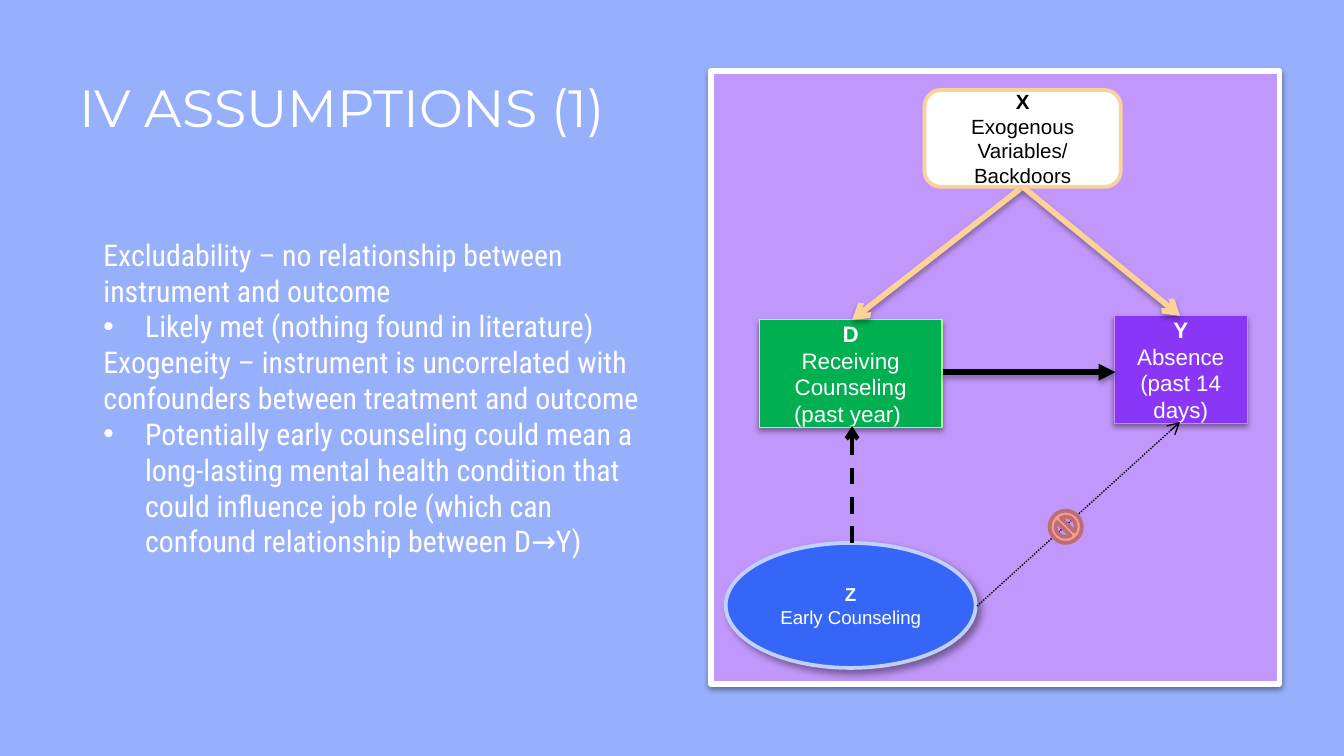
import pptx
import pptx.util
import pptx.dml.color
import pptx.enum.dml
import pptx.enum.shapes
import pptx.enum.text
import pptx.oxml
import pptx.oxml.ns

Inches = pptx.util.Inches
Pt = pptx.util.Pt
SHAPE = pptx.enum.shapes.MSO_SHAPE
DASH = pptx.enum.dml.MSO_LINE
ALIGN = pptx.enum.text.PP_ALIGN
ANCHOR = pptx.enum.text.MSO_ANCHOR
SOFT = (38, 3.1, 1.6, 90)
LOW = (35, 3.1, 1.8, 90)
DEEP = (40, 4, 3, 45)


def rgb(code):
    return pptx.dml.color.RGBColor.from_string(code)


def add_xml(parent, body):
    node = pptx.oxml.parse_xml(body.replace(" ", f" {pptx.oxml.ns.nsdecls('a')} ", 1))
    parent.append(node)


def add_shadow(props, shadow):
    """Append an effect list, which stays empty when shadow is None."""
    inner = ""
    if shadow:
        alpha, blur, dist, angle = shadow
        inner = (f'<a:outerShdw blurRad="{Pt(blur)}" dist="{Pt(dist)}" dir="{angle * 60000}" '
                 f'algn="ctr" rotWithShape="0"><a:srgbClr val="000000">'
                 f'<a:alpha val="{alpha * 1000}"/></a:srgbClr></a:outerShdw>')
    add_xml(props, f"<a:effectLst >{inner}</a:effectLst>")


def style(para, font, size, color, bold=False):
    for run in para.runs:
        run.font.name = font
        run.font.size = Pt(size)
        run.font.bold = bold
        run.font.color.rgb = rgb(color)


def place(shape, box):
    shape.left, shape.top, shape.width, shape.height = map(Inches, box)


def set_frame(frame, anchor):
    frame.word_wrap = True
    frame.auto_size = pptx.enum.text.MSO_AUTO_SIZE.NONE
    frame.vertical_anchor = anchor
    frame.margin_left = frame.margin_right = Inches(0.1)
    frame.margin_top = frame.margin_bottom = Inches(0.1)


def add_title(slide, box, text):
    title = slide.shapes.title
    place(title, box)
    set_frame(title.text_frame, ANCHOR.MIDDLE)
    title.text_frame.text = text
    para = title.text_frame.paragraphs[0]
    para.alignment = ALIGN.LEFT
    style(para, "Montserrat", 28, "FFFFFF")


def add_list(slide, box, items):
    """Fill the body with (heading, bullet) pairs."""
    body = slide.placeholders[1]
    place(body, box)
    frame = body.text_frame
    set_frame(frame, ANCHOR.TOP)
    frame.text = "\n".join(text for pair in items for text in pair)
    for i, para in enumerate(frame.paragraphs):
        para.alignment = ALIGN.LEFT
        para.space_before = para.space_after = Pt(0)
        para.line_spacing = 1.0
        style(para, "Roboto Condensed", 16, "FFFFFF")
        props = para._p.get_or_add_pPr()
        indent = Inches(0.31) if i % 2 else 0
        props.set("marL", str(indent))
        props.set("indent", str(-indent))
        if indent:
            add_xml(props, '<a:buClr ><a:srgbClr val="FFFFFF"/></a:buClr>')
            add_xml(props, '<a:buFont typeface="Arial"/>')
            add_xml(props, '<a:buChar char="•"/>')
        else:
            add_xml(props, "<a:buNone />")


def add_node(group, kind, box, fill, line, width, shadow=None,
             lines=(), size=12, color="FFFFFF"):
    """Add a shape whose first line of text is bold."""
    node = group.shapes.add_shape(kind, *map(Inches, box))
    node.fill.solid()
    node.fill.fore_color.rgb = rgb(fill)
    node.line.color.rgb = rgb(line)
    node.line.width = Pt(width)
    if shadow:
        add_shadow(node._element.spPr, shadow)
    else:
        node.shadow.inherit = False
    if lines:
        frame = node.text_frame
        frame.word_wrap = True
        frame.vertical_anchor = ANCHOR.MIDDLE
        frame.text = "\n".join(lines)
        for i, para in enumerate(frame.paragraphs):
            para.alignment = ALIGN.CENTER
            style(para, "Arial", size, color, bold=i == 0)


def add_arrow(group, start, end, color, width, head="arrow", dash=None, shadow=None):
    arrow = group.shapes.add_connector(
        pptx.enum.shapes.MSO_CONNECTOR.STRAIGHT, *map(Inches, (*start, *end)))
    arrow.line.color.rgb = rgb(color)
    arrow.line.width = Pt(width)
    if dash:
        arrow.line.dash_style = dash
    add_xml(arrow.line._get_or_add_ln(), f'<a:tailEnd type="{head}"/>')
    add_shadow(arrow._element.spPr, shadow)


def add_graph(slide, box):
    """Draw the causal graph on its panel."""
    left, top = box[:2]
    group = slide.shapes.add_group_shape()

    def spot(x, y, *size):
        return (left + x, top + y, *size)

    add_node(group, SHAPE.RECTANGLE, box, "C297FB", "FFFFFF", 3, SOFT)
    add_node(group, SHAPE.RECTANGLE, spot(3, 1.82, 0.99, 0.8), "8936F7", "BD91F8", 0.75,
             SOFT, ["Y", "Absence (past 14 days)"])
    add_node(group, SHAPE.RECTANGLE, spot(0.36, 1.85, 1.36, 0.8), "00B050", "B0F891", 0.75,
             SOFT, ["D", "Receiving Counseling (past year) "])
    add_node(group, SHAPE.OVAL, spot(0.11, 3.51, 1.86, 0.93), "3666F7", "C1D0FD", 2,
             DEEP, ["Z", "Early Counseling"], 10)
    add_arrow(group, spot(1.05, 3.51), spot(1.05, 2.64), "000000", 2.25, dash=DASH.DASH)
    add_arrow(group, spot(1.73, 2.24), spot(3.01, 2.24), "000000", 3, "triangle", shadow=LOW)
    add_arrow(group, spot(1.98, 3.98), spot(3.49, 2.61), "000000", 0.75,
              dash=DASH.ROUND_DOT)
    add_node(group, SHAPE.NO_SYMBOL, spot(2.52, 3.27, 0.24, 0.24), "FB9797", "BA7070", 2)
    add_node(group, SHAPE.ROUNDED_RECTANGLE, spot(1.59, 0.14, 1.46, 0.72), "FFFFFF",
             "FBD397", 2, None, ["X", "Exogenous Variables/", "Backdoors"], 11, "000000")
    for end in (spot(1.05, 1.85), spot(3.49, 1.82)):
        add_arrow(group, spot(2.32, 0.86), end, "FBD397", 3, shadow=LOW)


def main():
    deck = pptx.Presentation()
    deck.slide_width = Inches(10)
    deck.slide_height = deck.slide_width * 9 // 16
    slide = deck.slides.add_slide(deck.slide_layouts[1])
    slide.background.fill.solid()
    slide.background.fill.fore_color.rgb = rgb("97B0FB")
    add_title(slide, (0.49, 0.62, 8.73, 0.35), "IV ASSUMPTIONS (1)")
    add_list(slide, (0.67, 1.66, 4.23, 2.94), [
        ("Excludability – no relationship between instrument and outcome",
         "Likely met (nothing found in literature)"),
        ("Exogeneity – instrument is uncorrelated with confounders between "
         "treatment and outcome",
         "Potentially early counseling could mean a long-lasting mental health condition "
         "that could influence job role (which can confound relationship between D→Y)"),
    ])
    add_graph(slide, (5.29, 0.53, 4.23, 4.56))
    deck.save("out.pptx")


if __name__ == "__main__":
    main()
